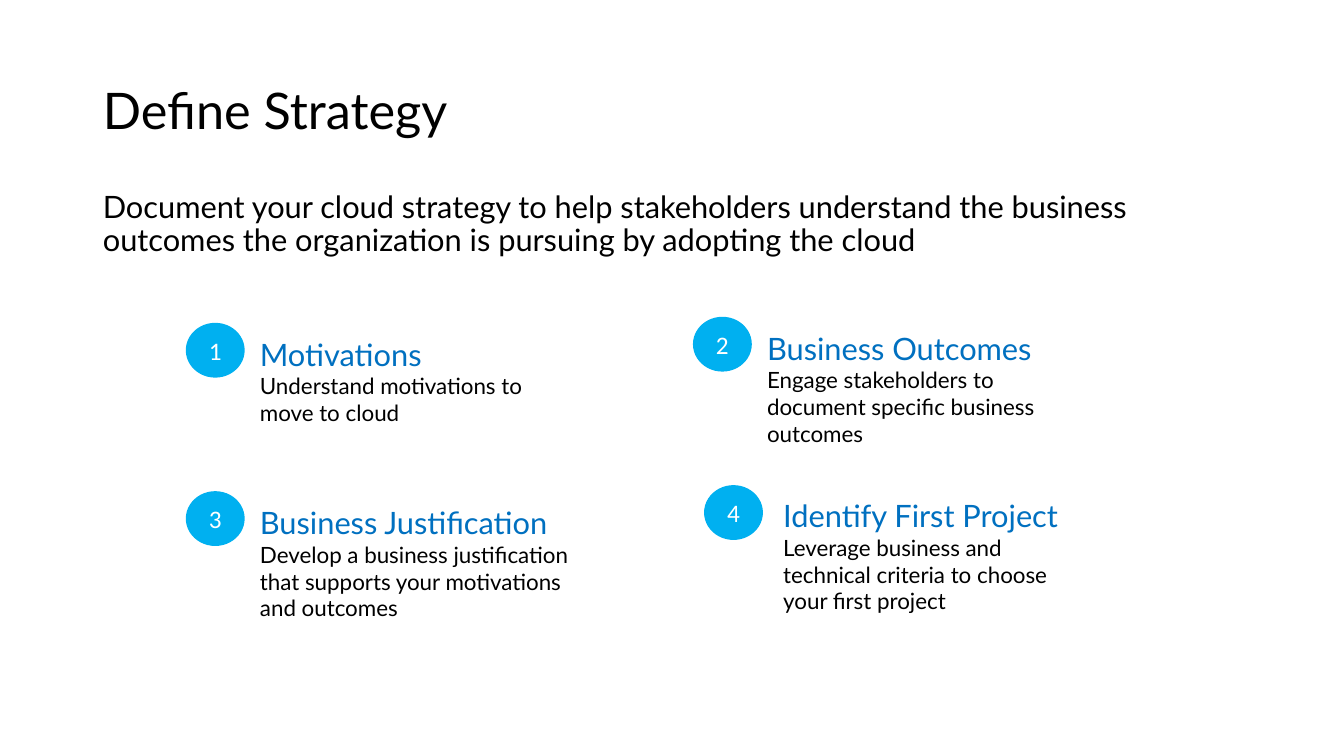
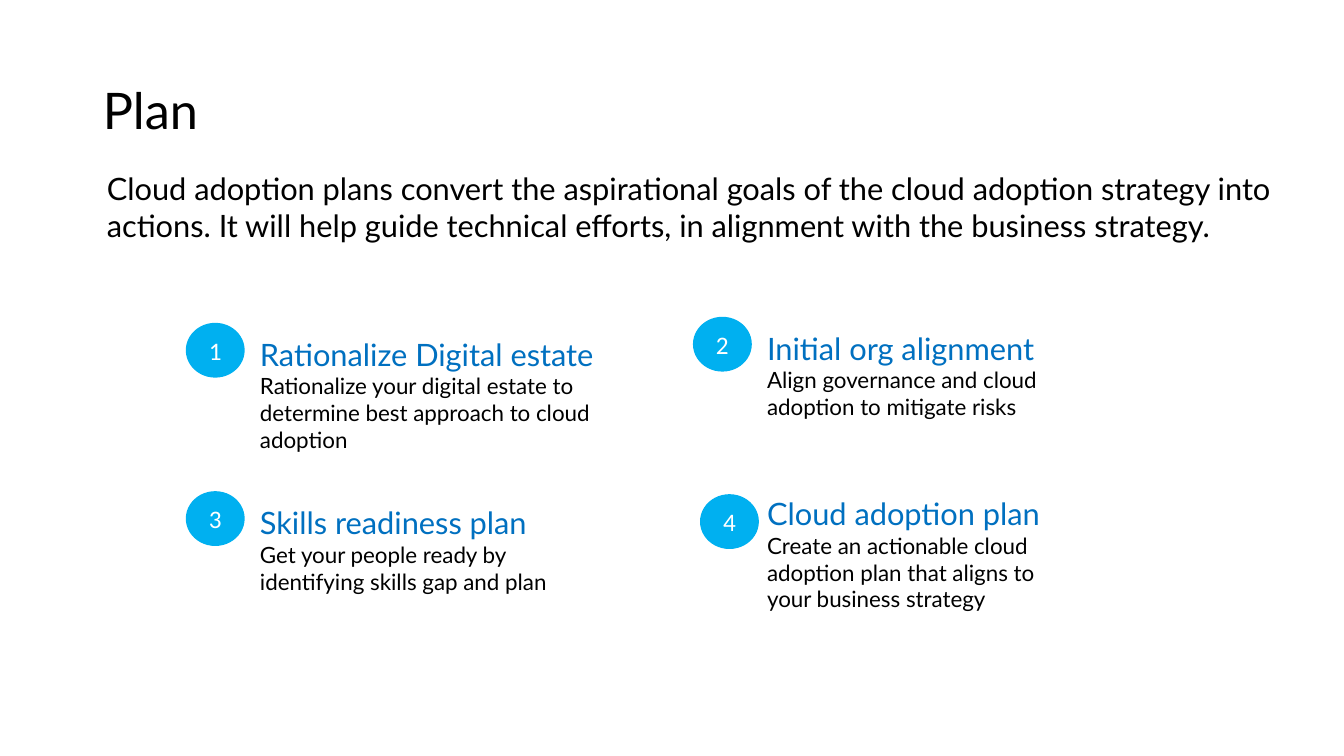
from dataclasses import dataclass

from lxml import etree
from pptx import Presentation
from pptx.dml.color import RGBColor
from pptx.enum import shapes, text
from pptx.oxml import ns
from pptx.util import Inches, Pt

BLACK = RGBColor(0x00, 0x00, 0x00)
WHITE = RGBColor(0xFF, 0xFF, 0xFF)
BADGE_BLUE = RGBColor(0x00, 0xB0, 0xF0)
HEADING_BLUE = RGBColor(0x00, 0x70, 0xC0)
TEXT_FONT, BADGE_FONT = "Lato", "Calibri"

TITLE_BOX = (0.92, 0.4, 11.5, 1.45)
GRID_COLUMNS = ((1.85, 3.21), (6.88, 3.15))  # left and top of each column
ROW_STEP = 1.67
BADGE_SIZE = (0.57, 0.53)
LABEL_OFFSET = (0.63, 0.07)


@dataclass
class Step:
    heading: str
    detail: str
    width: float = 3.03
    height: float = 1.28
    badge_shift: tuple = (0, 0)
    label_shift: tuple = (0, 0)


def place(sp, box):
    sp.left, sp.top, sp.width, sp.height = (Inches(v) for v in box)


def add_run(p, words, size, color, font=TEXT_FONT):
    r = p.add_run()
    r.text = words
    r.font.size, r.font.name = Pt(size), font
    r.font.color.rgb = color


def set_title(slide, words):
    tf = slide.shapes.title.text_frame
    tf.auto_size = text.MSO_AUTO_SIZE.NONE
    tf.vertical_anchor = text.MSO_ANCHOR.MIDDLE
    p = tf.paragraphs[0]
    p.alignment, p.line_spacing = text.PP_ALIGN.LEFT, 0.9
    add_run(p, words, 36, BLACK)


def set_intro(slide, words, box, line_spacing):
    """Fill the body placeholder with one unbulleted paragraph."""
    sp = slide.placeholders[1]
    place(sp, box)
    tf = sp.text_frame
    tf.auto_size = text.MSO_AUTO_SIZE.NONE
    p = tf.paragraphs[0]
    p.line_spacing, p.space_before = line_spacing, Pt(0)
    pPr = p._p.get_or_add_pPr()
    pPr.set("marL", "0")
    pPr.set("indent", "0")
    etree.SubElement(pPr, ns.qn("a:buNone"))
    add_run(p, words, 22, BLACK)


def add_badge(slide, number, left, top):
    box = (Inches(v) for v in (left, top, *BADGE_SIZE))
    sp = slide.shapes.add_shape(shapes.MSO_SHAPE.OVAL, *box)
    sp.shadow.inherit = False
    sp.fill.solid()
    sp.fill.fore_color.rgb = BADGE_BLUE
    sp.line.color.rgb = BADGE_BLUE
    sp.line.width = Pt(1)
    tf = sp.text_frame
    tf.vertical_anchor = text.MSO_ANCHOR.MIDDLE
    p = tf.paragraphs[0]
    p.alignment = text.PP_ALIGN.CENTER
    add_run(p, str(number), 18, WHITE, BADGE_FONT)


def add_label(slide, step, left, top):
    box = (Inches(v) for v in (left, top, step.width, step.height))
    tf = slide.shapes.add_textbox(*box).text_frame
    tf.word_wrap = True
    add_run(tf.paragraphs[0], step.heading, 22, HEADING_BLUE)
    add_run(tf.add_paragraph(), step.detail, 16, BLACK)


def add_step(slide, number, step, left, top):
    """Place a numbered badge and its label in the cell at left, top."""
    dx, dy = step.badge_shift
    add_badge(slide, number, left + dx, top + dy)
    dx, dy = step.label_shift
    add_label(slide, step, left + LABEL_OFFSET[0] + dx,
              top + LABEL_OFFSET[1] + dy)


def add_steps_slide(prs, title, intro, intro_box, line_spacing, steps):
    slide = prs.slides.add_slide(prs.slide_layouts[1])
    set_title(slide, title)
    set_intro(slide, intro, intro_box, line_spacing)
    for i, step in enumerate(steps):
        row, column = divmod(i, 2)
        left, top = GRID_COLUMNS[column]
        add_step(slide, i + 1, step, left, top + row * ROW_STEP)


STRATEGY_STEPS = (
    Step("Motivations", "Understand motivations to move to cloud",
         width=3.34, height=1.01),
    Step("Business Outcomes",
         "Engage stakeholders to document specific business outcomes"),
    Step("Business Justification",
         "Develop a business justification that supports your motivations "
         "and outcomes", width=3.41),
    Step("Identify First Project",
         "Leverage business and technical criteria to choose your first "
         "project", badge_shift=(0.11, 0), label_shift=(0.16, -0.01)),
)

PLAN_STEPS = (
    Step("Rationalize Digital estate",
         "Rationalize your digital estate to determine best approach to "
         "cloud adoption", width=4.19),
    Step("Initial org alignment",
         "Align governance and cloud adoption to mitigate risks",
         height=1.01),
    Step("Skills readiness plan",
         "Get your people ready by identifying skills gap and plan",
         width=3.41, height=1.01),
    Step("Cloud adoption plan",
         "Create an actionable cloud adoption plan that aligns to your "
         "business strategy", badge_shift=(0.07, 0.09),
         label_shift=(0, -0.03)),
)


def main():
    prs = Presentation()
    prs.slide_width, prs.slide_height = Inches(13.33), Inches(7.5)
    place(prs.slide_layouts[1].placeholders[0], TITLE_BOX)
    add_steps_slide(
        prs, "Define Strategy",
        "Document your cloud strategy to help stakeholders understand the "
        "business outcomes the organization is pursuing by adopting the "
        "cloud", (0.92, 1.85, 11.5, 4.76), 0.9, STRATEGY_STEPS)
    add_steps_slide(
        prs, "Plan",
        "Cloud adoption plans convert the aspirational goals of the cloud "
        "adoption strategy into actions. It will help guide technical "
        "efforts, in alignment with the business strategy.",
        (0.96, 1.63, 11.92, 1.14), 1.0, PLAN_STEPS)
    prs.save("out.pptx")


if __name__ == "__main__":
    main()
